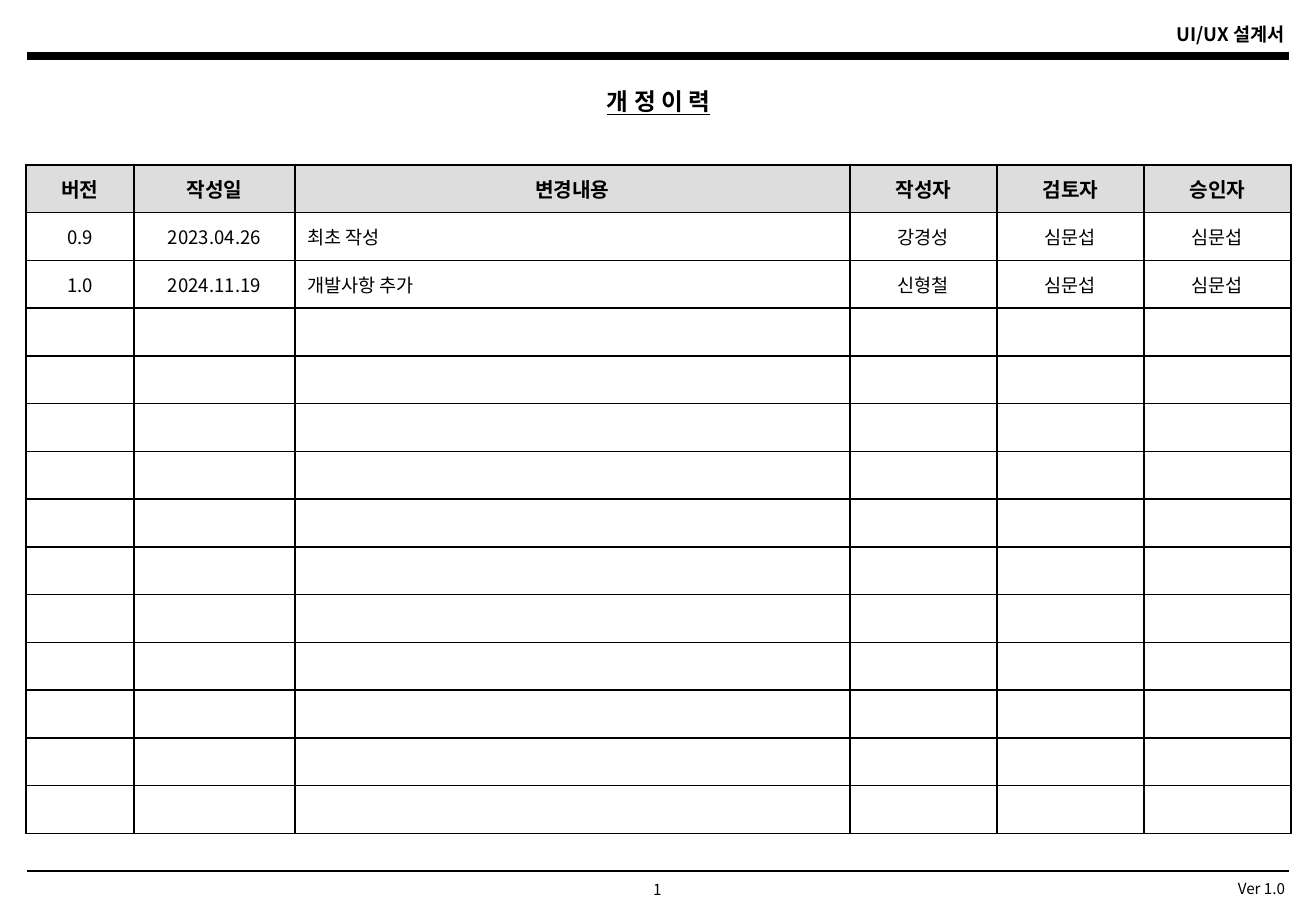
import pptx
import pptx.util
import pptx.dml.color
import pptx.enum.shapes
import pptx.enum.text
import pptx.oxml
import pptx.oxml.ns

# Content
FONT = "Noto Sans CJK KR"
BLACK, GREY = "000000", "DDDDDD"
ALIGN = pptx.enum.text.PP_ALIGN

HEADER = ["버전", "작성일", "변경내용", "작성자", "검토자", "승인자"]
REVISIONS = [
    ["0.9", "2023.04.26", "최초 작성", "강경성", "심문섭", "심문섭"],
    ["1.0", "2024.11.19", "개발사항 추가", "신형철", "심문섭", "심문섭"],
]
ROW_COUNT = 14
COL_WIDTHS = [108, 161, 555, 147, 147, 147]
CHANGE_COL = 2
TABLE_LEFT, TABLE_TOP, TABLE_HEIGHT = 26, 165, 669

# text, (left, top, width, height), alignment, size, bold, underline
TEXTS = [
    ("UI/UX 설계서", (793, 17, 504, 35), ALIGN.RIGHT, 11, True, False),
    ("개 정 이 력", (552, 81, 213, 40), ALIGN.CENTER, 14, True, True),
    ("1", (601, 874, 113, 31), ALIGN.CENTER, 9, False, False),
    ("Ver 1.0", (793, 873, 504, 31), ALIGN.RIGHT, 9, False, False),
]
RULE_LEFT, RULE_RIGHT = 27, 1289
RULES = [(56, 4.5), (871, 1)]  # y, line width in points


def px(n):
    return pptx.util.Emu(round(n * 914400 / 121.5))


def rgb(color):
    return pptx.dml.color.RGBColor.from_string(color)


def add_run(p, text, size, bold=False, underline=False):
    r = p.add_run()
    r.text = text
    r.font.name = FONT
    r.font.size = pptx.util.Pt(size)
    r.font.bold = bold
    r.font.underline = underline
    r.font.color.rgb = rgb(BLACK)
    ea = pptx.oxml.parse_xml(f'<a:ea {pptx.oxml.ns.nsdecls("a")} typeface="{FONT}"/>')
    r.font._element.find(pptx.oxml.ns.qn("a:latin")).addnext(ea)


def add_borders(cell):
    tcPr = cell._tc.get_or_add_tcPr()
    for i, side in enumerate(("lnL", "lnR", "lnT", "lnB")):
        tcPr.insert(i, pptx.oxml.parse_xml(
            f'<a:{side} {pptx.oxml.ns.nsdecls("a")} w="12700"><a:solidFill>'
            f'<a:srgbClr val="{BLACK}"/></a:solidFill></a:{side}>'))


prs = pptx.Presentation()
prs.slide_width, prs.slide_height = px(1316), px(911)
s = prs.slides.add_slide(prs.slide_layouts[6])

# Header and footer rules
for y, width in RULES:
    line = s.shapes.add_connector(pptx.enum.shapes.MSO_CONNECTOR.STRAIGHT,
                                  px(RULE_LEFT), px(y), px(RULE_RIGHT), px(y))
    line.line.color.rgb = rgb(BLACK)
    line.line.width = pptx.util.Pt(width)
    line._element.spPr.append(
        pptx.oxml.parse_xml(f'<a:effectLst {pptx.oxml.ns.nsdecls("a")}/>'))

# Header, title and footer texts
for text, box, align, size, bold, underline in TEXTS:
    tf = s.shapes.add_textbox(*map(px, box)).text_frame
    tf.word_wrap = True
    p = tf.paragraphs[0]
    p.alignment = align
    add_run(p, text, size, bold, underline)

# Revision table
table = s.shapes.add_table(ROW_COUNT, len(HEADER), px(TABLE_LEFT), px(TABLE_TOP),
                           px(sum(COL_WIDTHS)), px(TABLE_HEIGHT)).table
table.horz_banding = False
for column, width in zip(table.columns, COL_WIDTHS):
    column.width = px(width)

rows = [HEADER] + REVISIONS
rows += [[""] * len(HEADER)] * (ROW_COUNT - len(rows))
for i, texts in enumerate(rows):
    table.rows[i].height = px(TABLE_HEIGHT / ROW_COUNT)
    is_header = i == 0
    for j, text in enumerate(texts):
        cell = table.cell(i, j)
        cell.vertical_anchor = pptx.enum.text.MSO_ANCHOR.MIDDLE
        if is_header:
            cell.fill.solid()
            cell.fill.fore_color.rgb = rgb(GREY)
        else:
            cell.fill.background()
        add_borders(cell)
        p = cell.text_frame.paragraphs[0]
        p.alignment = ALIGN.LEFT if j == CHANGE_COL and not is_header else ALIGN.CENTER
        if text:
            add_run(p, text, 12 if is_header else 11, is_header)
        else:  # keeps an empty row from growing
            p._p.append(pptx.oxml.parse_xml(
                f'<a:endParaRPr {pptx.oxml.ns.nsdecls("a")} sz="1100"/>'))

prs.save("out.pptx")
